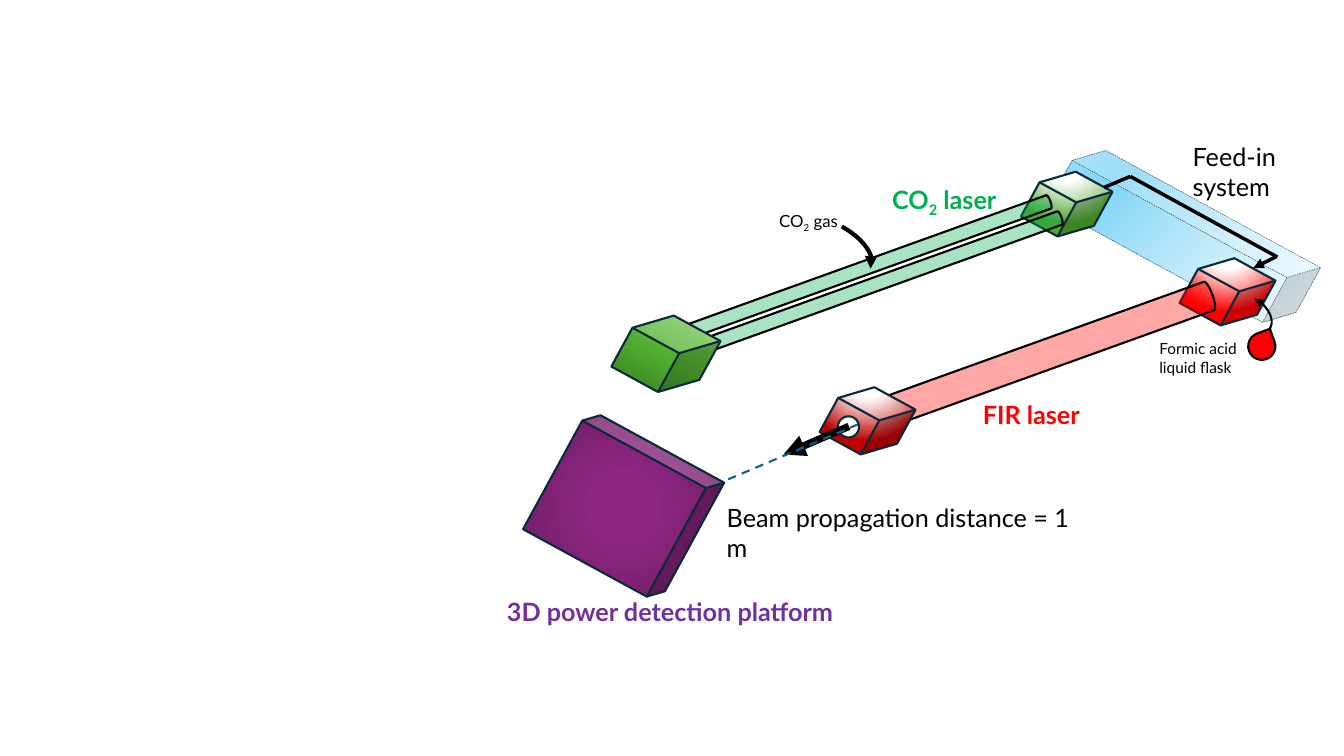
from lxml.etree import SubElement
from pptx import Presentation
from pptx.dml.color import RGBColor
from pptx.enum.dml import MSO_LINE
from pptx.enum.shapes import MSO_CONNECTOR, MSO_SHAPE as Shape
from pptx.enum.text import MSO_AUTO_SIZE
from pptx.oxml.ns import qn
from pptx.util import Inches, Pt

hex_color = RGBColor.from_string
TILT = 28.6  # shared rotation of the boxes
BEAM_TURN = 250.2
OUTLINE = "092A39"
BLACK = "000000"

prs = Presentation()
prs.slide_width, prs.slide_height = Inches(13.33), Inches(7.5)
slide = prs.slides.add_slide(prs.slide_layouts[6])


def add_part(kind, box, turn, fill, line, width, depth=None):
    """fill: None, (colour, opacity), or (stops, focus) with focus None for a linear gradient."""
    part = slide.shapes.add_shape(kind, *map(Inches, box))
    part.rotation = turn
    part.shadow.inherit = False
    part.line.color.rgb = hex_color(line)
    part.line.width = Pt(width)
    if depth is not None:
        part.adjustments[0] = depth
    if fill is None:
        part.fill.background()
    elif isinstance(fill[0], str):
        color, opacity = fill
        part.fill.solid()
        part.fill.fore_color.rgb = hex_color(color)
        if opacity < 100:
            solid = part._element.spPr.find(qn("a:solidFill"))
            SubElement(solid[0], qn("a:alpha"), val=str(opacity * 1000))
    else:
        stops, focus = fill
        part.fill.gradient()
        gradient = part._element.spPr.find(qn("a:gradFill"))
        gradient.clear()
        gradient.set("rotWithShape", "1")
        stop_list = SubElement(gradient, qn("a:gsLst"))
        for place, color, opacity in stops:
            stop = SubElement(stop_list, qn("a:gs"), pos=str(place * 1000))
            tone = SubElement(stop, qn("a:srgbClr"), val=color)
            if opacity < 100:
                SubElement(tone, qn("a:alpha"), val=str(opacity * 1000))
        if focus is None:
            SubElement(gradient, qn("a:lin"), ang="16200000", scaled="0")
        else:
            circle = SubElement(gradient, qn("a:path"), path="circle")
            SubElement(circle, qn("a:fillToRect"),
                       {side: str(value * 1000) for side, value in zip("ltrb", focus)})
    return part


def add_arrowhead(part, end):
    SubElement(part.line._get_or_add_ln(), qn(f"a:{end}"), type="triangle")


# Feed-in block
feed_in = ([(0, "F2FBFE", 60), (74, "88D8F7", 100), (83, "88D8F7", 100),
            (100, "B0E5F9", 100)], (100, 100, 0, 0))
feed_block = add_part(Shape.CUBE, (10.41, 1.97, 2.67, 0.75), TILT, feed_in, OUTLINE, 0.25, 0.327)
feed_block.line.dash_style = MSO_LINE.DASH

# Laser end boxes and tubes, from back to front
glossy_green, glossy_red, glossy_dark_red = [
    ([(0, "FFFFFF", 100), (35, "FFFFFF", 100), (last, color, 100)], (50, -80, 50, 180))
    for last, color in ((100, "4EA72E"), (99, "FF0000"), (100, "C00000"))]
matte_green = ([(0, "34701F", 100), (48, "51AE30", 100), (100, "8ED973", 100)], None)
green_tube, red_tube = ("00B050", 34), ("FF0000", 35)
for kind, box, fill in (
    (Shape.CUBE, (10.24, 1.7, 0.68, 0.65), glossy_green),
    (Shape.CAN, (8.49, 0.69, 0.14, 3.95), green_tube),
    (Shape.CAN, (8.6, 0.85, 0.14, 3.95), green_tube),
    (Shape.CUBE, (6.19, 3.14, 0.83, 0.74), matte_green),
    (Shape.CUBE, (11.81, 2.57, 0.73, 0.65), glossy_red),
    (Shape.CAN, (10.22, 1.76, 0.3, 3.52), red_tube),
    (Shape.CUBE, (8.24, 3.85, 0.73, 0.65), glossy_dark_red),
):
    if kind == Shape.CUBE:
        add_part(kind, box, TILT, fill, OUTLINE, 1.5, 0.408)
    else:
        add_part(kind, box, BEAM_TURN, fill, BLACK, 1.5)

# Beam exit, gas arrow, flask drop and its arrow
add_part(Shape.OVAL, (8.31, 4.13, 0.21, 0.21), TILT, ("FFFFFF", 100), OUTLINE, 1.5)
gas_arrow = add_part(Shape.ARC, (7.79, 2.22, 0.9, 0.46), TILT, None, BLACK, 3)
add_arrowhead(gas_arrow, "tailEnd")
add_part(Shape.TEAR, (12.38, 3.3, 0.27, 0.27), 339.9, ("FF0000", 100), BLACK, 1.5)
flask_arrow = add_part(Shape.ARC, (12.08, 2.94, 0.55, 0.38), TILT, None, BLACK, 1.5)
add_arrowhead(flask_arrow, "headEnd")

# Beam arrow, feed-in path and propagation axis
for start, end, color, width, arrow, dashed in (
    ((8.42, 4.23), (7.77, 4.51), BLACK, 5.25, True, False),
    ((11.21, 1.75), (12.67, 2.55), BLACK, 2.5, False, False),
    ((12.65, 2.55), (12.43, 2.66), BLACK, 2.5, True, False),
    ((11.21, 1.75), (10.95, 1.86), BLACK, 2.5, False, False),
    ((8.51, 4.21), (6.22, 5.18), "156082", 1.5, False, True),
):
    link = slide.shapes.add_connector(MSO_CONNECTOR.STRAIGHT, *map(Inches, start + end))
    link.line.color.rgb = hex_color(color)
    link.line.width = Pt(width)
    if dashed:
        link.line.dash_style = MSO_LINE.DASH
    if arrow:
        add_arrowhead(link, "tailEnd")
    SubElement(link._element.spPr, qn("a:effectLst"))

# Detection platform
purple = ([(0, "8E2683", 100), (23, "8E2683", 100), (69, "78206E", 100),
           (97, "701E67", 100)], (50, 50, 50, 50))
add_part(Shape.CUBE, (5.42, 4.34, 1.53, 1.36), TILT, purple, OUTLINE, 1.5, 0.098)

# Labels; text between bars is subscript
for text, box, size, color, bold, wrap in (
    ("CO|2| gas", (7.63, 2.04, 0.79, 0.3), 12, BLACK, False, False),
    ("Formic acid liquid flask", (11.4, 3.32, 1.1, 0.47), 11, BLACK, False, True),
    ("Feed-in system", (11.73, 1.35, 1.17, 0.71), 18, BLACK, False, True),
    ("FIR laser", (9.65, 3.91, 1.2, 0.4), 18, "FF0000", True, False),
    ("CO|2| laser", (8.75, 1.78, 1.29, 0.4), 18, "00B050", True, False),
    ("Beam propagation distance = 1 m", (7.11, 4.93, 3.83, 0.4), 18, BLACK, False, True),
    ("3D power detection platform", (4.93, 5.87, 3.48, 0.4), 18, "7030A0", True, False),
):
    frame = slide.shapes.add_textbox(*map(Inches, box)).text_frame
    frame.word_wrap = wrap
    frame.auto_size = MSO_AUTO_SIZE.SHAPE_TO_FIT_TEXT
    label = frame.paragraphs[0]
    label.font.name, label.font.size, label.font.bold = "Lato", Pt(size), bold
    label.font.color.rgb = hex_color(color)
    for index, piece in enumerate(text.split("|")):
        run = label.add_run()
        run.text = piece
        if index % 2:
            run._r.get_or_add_rPr().set("baseline", "-25000")

prs.save("out.pptx")
